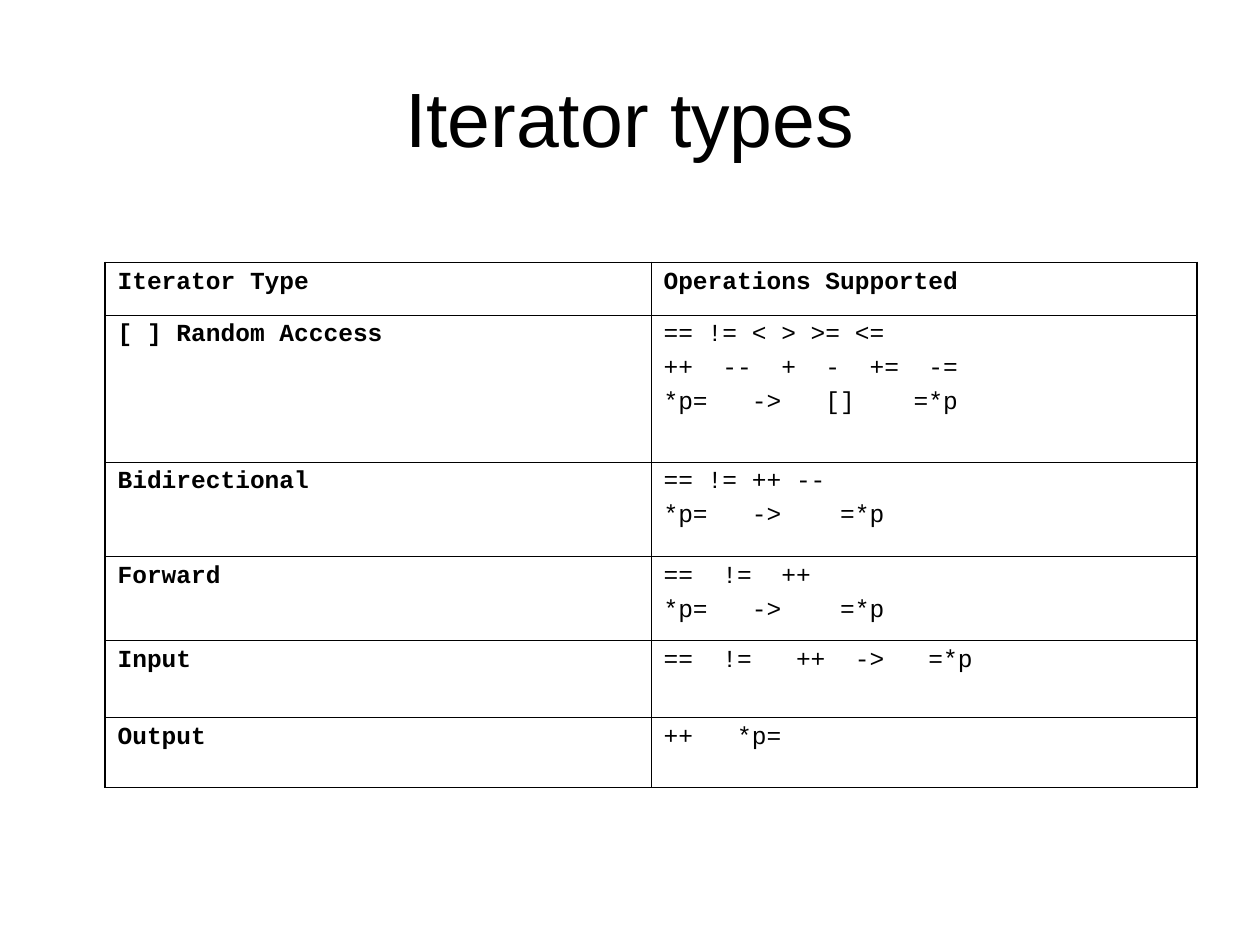
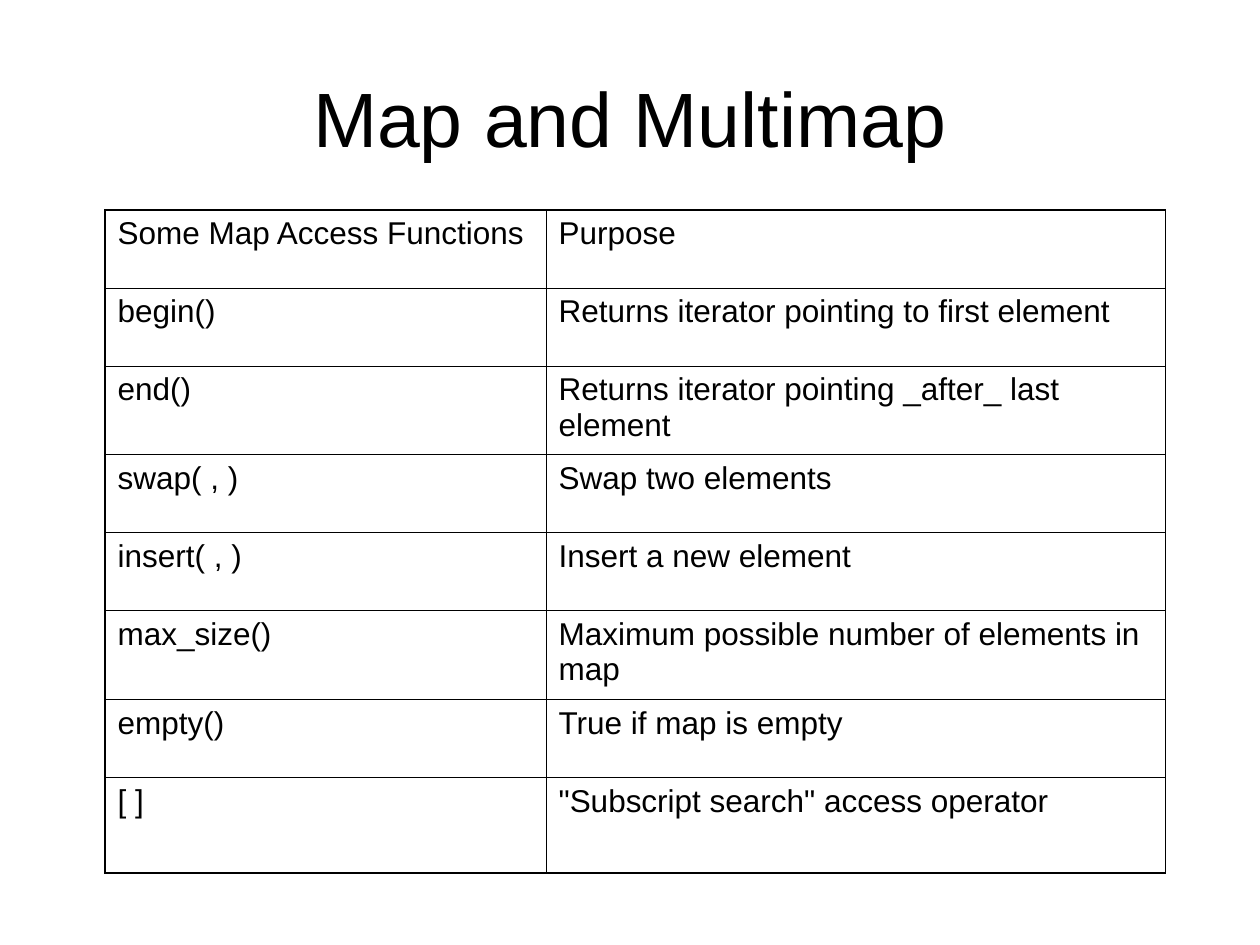
from lxml.etree import SubElement
from pptx import Presentation
from pptx.dml.color import RGBColor as RGB
from pptx.enum.text import MSO_ANCHOR as ANCHOR, PP_ALIGN as ALIGN
from pptx.oxml.ns import qn
from pptx.util import Pt

COLORS = {"text": "000000", "border": "000000"}
OUTER, INNER = 1.08, 0.45


def write(tf, text, font="Arial", size=18, bold=False, align=ALIGN.LEFT, gap=0):
    tf.word_wrap = True
    for i, line in enumerate(text.split("\n")):
        p = tf.paragraphs[0] if i == 0 else tf.add_paragraph()
        p.alignment = align
        p.space_before = Pt(gap if i else 0)
        r = p.add_run()
        r.text = line
        r.font.name = font
        r.font.size = Pt(size)
        r.font.bold = bold
        r.font.color.rgb = RGB.from_string(COLORS["text"])


def add_border(cell, side, width):
    ln = SubElement(cell._tc.get_or_add_tcPr(), qn(f"a:ln{side}"), w=str(Pt(width)))
    fill = SubElement(ln, qn("a:solidFill"))
    SubElement(fill, qn("a:srgbClr"), val=COLORS["border"])


slides = [
    {
        "title": "Iterator types",
        "top": 150,
        "cols": [312, 312],
        "heights": [30, 84, 54, 48, 44, 40],
        "format": {"font": "Courier New", "size": 14, "gap": 3.5},
        "bold_labels": True,
        "rows": [
            ("Iterator Type", "Operations Supported"),
            ("[ ] Random Acccess",
             "== != < > >= <=\n++  --  +  -  +=  -=\n*p=   ->   []    =*p"),
            ("Bidirectional", "== != ++ --\n*p=   ->    =*p"),
            ("Forward", "==  !=  ++\n*p=   ->    =*p"),
            ("Input", "==  !=   ++  ->   =*p"),
            ("Output", "++   *p="),
        ],
    },
    {
        "title": "Map and Multimap",
        "top": 120,
        "cols": [252, 354],
        "heights": [44.6, 44.6, 50.6, 44.6, 44.6, 50.6, 44.6, 54.6],
        "format": {"font": "Arial", "size": 18, "gap": 4.5},
        "bold_labels": False,
        "rows": [
            ("Some Map Access Functions", "Purpose"),
            ("begin()", "Returns iterator pointing to first element"),
            ("end()", "Returns iterator pointing _after_ last element"),
            ("swap( , )", "Swap two elements"),
            ("insert( , )", "Insert a new element"),
            ("max_size()", "Maximum possible number of elements in map"),
            ("empty()", "True if map is empty"),
            ("[ ]", '"Subscript search" access operator'),
        ],
    },
]

prs = Presentation()
prs.slide_width, prs.slide_height = Pt(720), Pt(540)

for data in slides:
    s = prs.slides.add_slide(prs.slide_layouts[5])
    title = s.shapes.title
    title.left, title.top, title.width, title.height = Pt(36), Pt(21.6), Pt(648), Pt(90)
    title.text_frame.vertical_anchor = ANCHOR.MIDDLE
    write(title.text_frame, data["title"], size=44, align=ALIGN.CENTER)

    rows, cols, heights = data["rows"], data["cols"], data["heights"]
    table = s.shapes.add_table(len(rows), len(cols), Pt(60), Pt(data["top"]),
                               Pt(sum(cols)), Pt(sum(heights))).table
    table.first_row = table.horz_banding = False
    for col, width in zip(table.columns, cols):
        col.width = Pt(width)
    for row, height in zip(table.rows, heights):
        row.height = Pt(height)

    last_row, last_col = len(rows) - 1, len(cols) - 1
    for i, row in enumerate(rows):
        for j, text in enumerate(row):
            cell = table.cell(i, j)
            bold = data["bold_labels"] and (i == 0 or j == 0)
            write(cell.text_frame, text, bold=bold, **data["format"])
            edges = {"L": j == 0, "R": j == last_col, "T": i == 0, "B": i == last_row}
            for side, is_outer in edges.items():
                add_border(cell, side, OUTER if is_outer else INNER)
            cell.fill.background()

prs.save("out.pptx")
